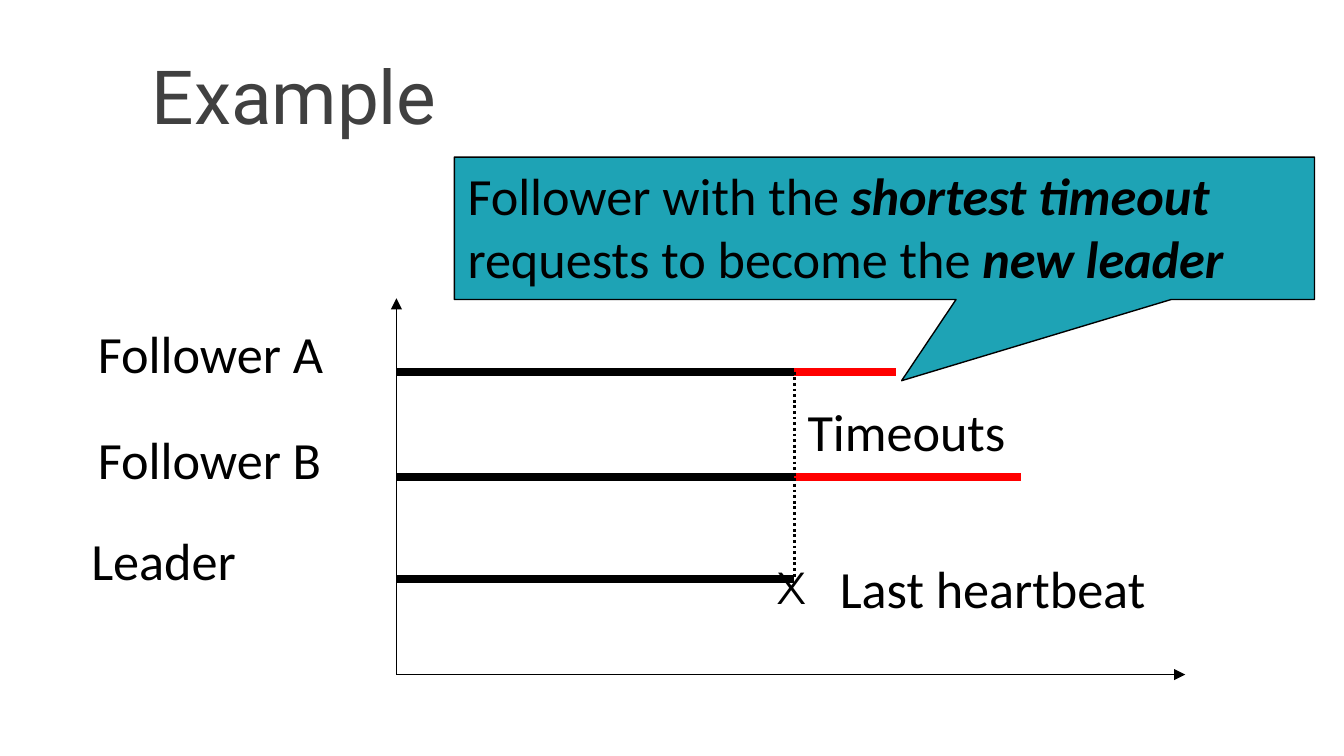
from lxml import etree
from pptx import Presentation
from pptx.dml.color import RGBColor
from pptx.enum.dml import MSO_LINE
from pptx.enum.shapes import MSO_CONNECTOR, MSO_SHAPE
from pptx.enum.text import MSO_ANCHOR, MSO_AUTO_SIZE, PP_ALIGN
from pptx.oxml.ns import qn
from pptx.util import Pt

STRAIGHT = MSO_CONNECTOR.STRAIGHT
CALLOUT = MSO_SHAPE.RECTANGULAR_CALLOUT
DOTS = MSO_LINE.ROUND_DOT
TOP, MIDDLE = MSO_ANCHOR.TOP, MSO_ANCHOR.MIDDLE
FIT, FIXED = MSO_AUTO_SIZE.SHAPE_TO_FIT_TEXT, MSO_AUTO_SIZE.NONE
LEFT = PP_ALIGN.LEFT

BLACK, RED, TEAL, GREY = "000000", "FF0000", "1EA3B5", "404040"
START, BEAT, BASE = 212.4, 425.5, 361.4  # time axis start, last heartbeat, axis height


def color(code):
    return RGBColor.from_string(code)


def write(frame, lines, size=28, font="Calibri", ink=BLACK, wrap=False,
          anchor=TOP, fit=FIT):
    """Fill a frame with lines, each a list of (text, strong) pairs."""
    frame.word_wrap = wrap
    frame.auto_size = fit
    frame.vertical_anchor = anchor
    para = frame.paragraphs[0]
    para.alignment = LEFT
    for i, line in enumerate(lines):
        if i:
            para.add_line_break()
        for text, strong in line:
            run = para.add_run()
            run.text = text
            run.font.size = Pt(size)
            run.font.name = font
            run.font.bold = run.font.italic = strong
            run.font.color.rgb = color(ink)


def label(slide, text, x, y, w, h=41, **style):
    box = slide.shapes.add_textbox(Pt(x), Pt(y), Pt(w), Pt(h))
    write(box.text_frame, [[(text, False)]], **style)


def rule(slide, x1, y1, x2, y2, ink=BLACK, width=4.5, dash=None, arrow=False):
    link = slide.shapes.add_connector(STRAIGHT, Pt(x1), Pt(y1), Pt(x2), Pt(y2))
    link.line.color.rgb = color(ink)
    link.line.width = Pt(width)
    if dash:
        link.line.dash_style = dash
    if arrow:
        etree.SubElement(link.line._get_or_add_ln(), qn("a:tailEnd"), type="triangle")
    etree.SubElement(link._element.spPr, qn("a:effectLst"))


def callout(slide, lines, x, y, w, h, tip):
    shape = slide.shapes.add_shape(CALLOUT, Pt(x), Pt(y), Pt(w), Pt(h))
    shape.adjustments[0], shape.adjustments[1] = tip
    shape.shadow.inherit = False
    shape.fill.solid()
    shape.fill.fore_color.rgb = color(TEAL)
    shape.line.color.rgb = color(BLACK)
    shape.line.width = Pt(0.75)
    write(shape.text_frame, lines, wrap=True, fit=FIXED)


def main():
    deck = Presentation()
    deck.slide_width, deck.slide_height = Pt(720), Pt(405)
    slide = deck.slides.add_slide(deck.slide_layouts[6])

    # Title
    label(slide, "Example", 74.2, 16.6, 564.5, 67.7, size=40, font="Roboto",
          ink=GREY, wrap=True, anchor=MIDDLE, fit=FIXED)

    # Axes
    for x, y in ((START, 159.8), (635, BASE)):
        rule(slide, START, BASE, x, y, width=0.75, arrow=True)

    # Servers: name, label place and width, line height, end of timeout
    rows = (
        ("Follower A", 45.4, 168.5, 137.5, 199.2, 480.2),
        ("Follower B", 45.4, 225.4, 136, 255.6, 547.2),
        ("Leader", 41.8, 279.4, 92.9, 310.3, None),
    )
    for name, x, y, w, level, end in rows:
        label(slide, name, x, y, w)
        rule(slide, START, level, BEAT, level)
        if end:
            rule(slide, BEAT, level, end, level, ink=RED)

    # Heartbeat and timeout notes
    label(slide, "Last heartbeat", 442.8, 294.5, 180.7)
    label(slide, "X", 409, 296.6, 33.8, 36, size=24, font="Montserrat")
    label(slide, "Timeouts", BEAT, 210.2, 121.7)

    # Callout on the shortest timeout
    callout(slide, [
        [("Follower with the ", False), ("shortest timeout", True)],
        [("requests to become the ", False), ("new leader", True)],
    ], 243.4, 84.2, 460.8, 76.3, tip=(0.02, 1.07))

    # Moment of the last heartbeat
    rule(slide, BEAT, rows[0][4], BEAT, rows[-1][4], width=1.5, dash=DOTS)

    deck.save("out.pptx")


if __name__ == "__main__":
    main()
